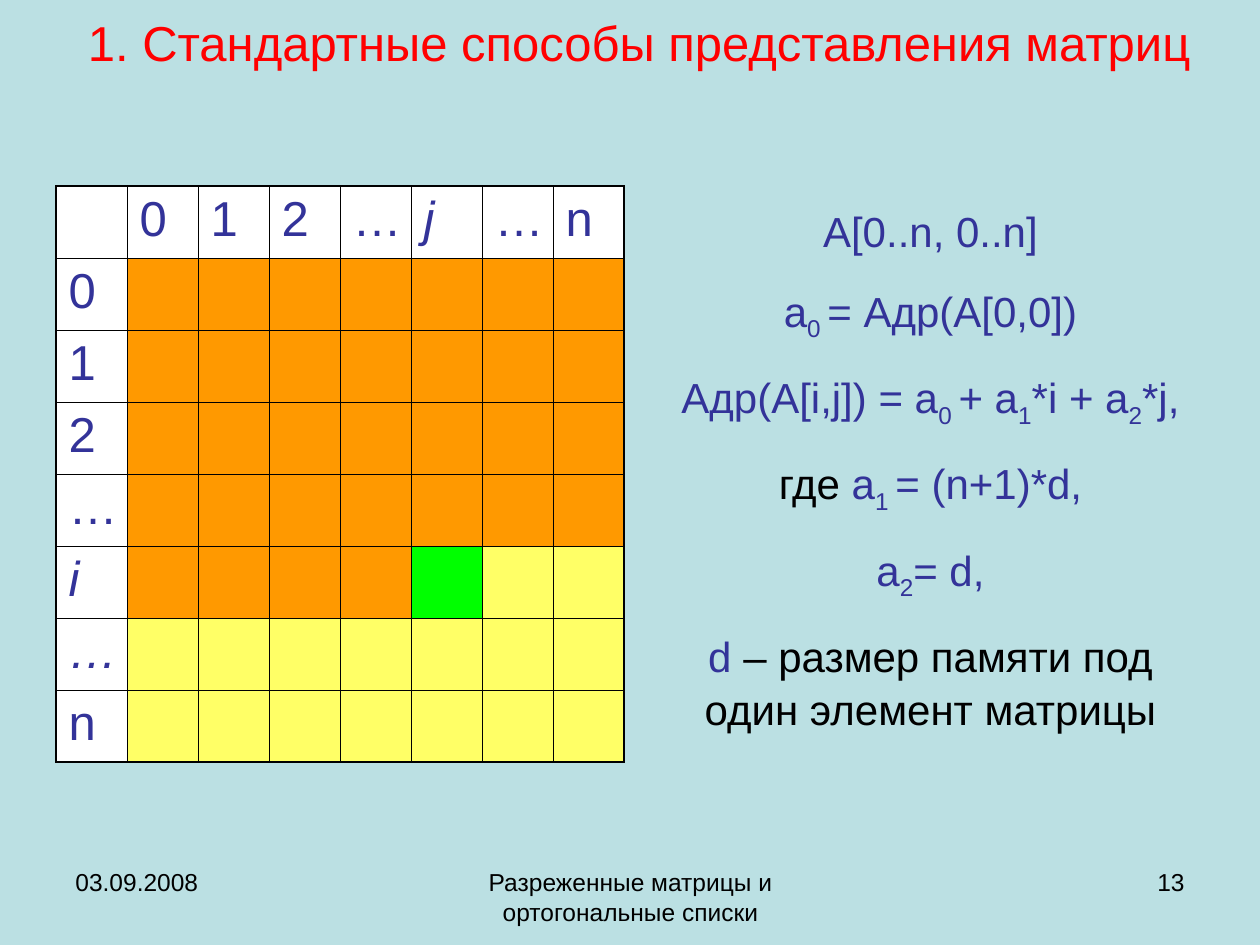
from dataclasses import dataclass

from lxml import etree
from pptx import Presentation, util as u
from pptx.dml.color import RGBColor
from pptx.enum import text
from pptx.oxml import ns

SCALE = 914400 / 126


@dataclass(frozen=True)
class Theme:
    font: str = "Arial"
    background: str = "BBE0E3"
    title: str = "FF0000"
    formula: str = "333399"
    ink: str = "000000"
    header: str = "FFFFFF"
    stored: str = "FF9900"
    current: str = "00FF00"
    remaining: str = "FFFF66"
    large: int = 28
    body: int = 24
    small: int = 14


theme = Theme()


def px(value):
    return u.Emu(round(value * SCALE))


def style(font, size, color):
    font.name = theme.font
    font.size = u.Pt(size)
    font.color.rgb = RGBColor.from_string(color)


presentation = Presentation()
presentation.slide_width = px(1260)
presentation.slide_height = px(945)
slide = presentation.slides.add_slide(presentation.slide_layouts[5])
slide.background.fill.solid()
slide.background.fill.fore_color.rgb = RGBColor.from_string(theme.background)

title = slide.shapes.title
title.left, title.top, title.width, title.height = px(73), px(21), px(1134), px(42)
title_frame = title.text_frame
title_frame.text = "1. Стандартные способы представления матриц"
title_frame.auto_size = text.MSO_AUTO_SIZE.NONE
title_frame.vertical_anchor = text.MSO_ANCHOR.MIDDLE
title_frame.margin_left, title_frame.margin_right = px(3), px(5)
title_frame.margin_top = title_frame.margin_bottom = px(1)
title_frame.paragraphs[0].alignment = text.PP_ALIGN.CENTER
style(title_frame.paragraphs[0].runs[0].font, theme.large, theme.title)

labels = ["", "0", "1", "2", "…", "j", "…", "n"]
row_labels = ["", "0", "1", "2", "…", "i", "…", "n"]
count = len(labels)
last = count - 1
current_cell = (row_labels.index("i"), labels.index("j"))
italic_cells = {(0, 5), (5, 0), (6, 0)}
column_width, row_height = 71, 72

table = slide.shapes.add_table(
    count, count, px(56), px(186), px(column_width * count), px(row_height * count)
).table
for column in table.columns:
    column.width = px(column_width)
for row in table.rows:
    row.height = px(row_height)

for r in range(count):
    for c in range(count):
        cell = table.cell(r, c)
        if r == 0 or c == 0:
            color = theme.header
        elif (r, c) == current_cell:
            color = theme.current
        else:
            color = theme.stored if (r, c) < current_cell else theme.remaining

        label = labels[c] if r == 0 else row_labels[r] if c == 0 else ""
        if label:
            cell.text_frame.text = label
            font = cell.text_frame.paragraphs[0].runs[0].font
            style(font, theme.large, theme.formula)
            font.italic = (r, c) in italic_cells

        properties = cell._tc.get_or_add_tcPr()
        outer_edges = {"lnL": c == 0, "lnR": c == last, "lnT": r == 0, "lnB": r == last}
        for edge, is_outer in outer_edges.items():
            width = u.Pt(1.08 if is_outer else 0.45)
            line = etree.SubElement(properties, ns.qn(f"a:{edge}"), w=str(width))
            fill = etree.SubElement(line, ns.qn("a:solidFill"))
            etree.SubElement(fill, ns.qn("a:srgbClr"), val=theme.ink)
        cell.fill.solid()
        cell.fill.fore_color.rgb = RGBColor.from_string(color)

formulas = [
    [("A[0..n, 0..n]", "")],
    [("a", ""), ("0 ", "sub"), ("= Адр(A[0,0])", "")],
    [("Адр(A[i,j]) = a", ""), ("0 ", "sub"), ("+ a", ""), ("1", "sub"),
     ("*i + a", ""), ("2", "sub"), ("*j,", "")],
    [("где ", "plain"), ("a", ""), ("1 ", "sub"), ("= (n+1)*d,", "")],
    [("a", ""), ("2", "sub"), ("= d,", "")],
    [("d ", ""), ("– размер памяти под один элемент матрицы", "plain")],
]
formula_box = slide.shapes.add_textbox(px(649), px(197), px(563), px(678))
formula_frame = formula_box.text_frame
formula_frame.word_wrap = True
for index, parts in enumerate(formulas):
    paragraph = formula_frame.add_paragraph() if index else formula_frame.paragraphs[0]
    paragraph.alignment = text.PP_ALIGN.CENTER
    paragraph.line_spacing = 1.05
    if index:
        paragraph.space_before = u.Pt(15)
    for wording, kind in parts:
        run = paragraph.add_run()
        run.text = wording
        style(run.font, theme.body, theme.ink if kind == "plain" else theme.formula)
        if kind == "sub":
            run._r.get_or_add_rPr().set("baseline", "-25000")

footers = [
    ("03.09.2008", 63, 294, text.PP_ALIGN.LEFT),
    ("Разреженные матрицы и ортогональные списки", 431, 399, text.PP_ALIGN.CENTER),
    ("13", 903, 294, text.PP_ALIGN.RIGHT),
]
for wording, left, width, alignment in footers:
    footer_frame = slide.shapes.add_textbox(px(left), px(861), px(width), px(66)).text_frame
    footer_frame.word_wrap = True
    footer_frame.text = wording
    paragraph = footer_frame.paragraphs[0]
    paragraph.alignment = alignment
    style(paragraph.runs[0].font, theme.small, theme.ink)

presentation.save("out.pptx")
